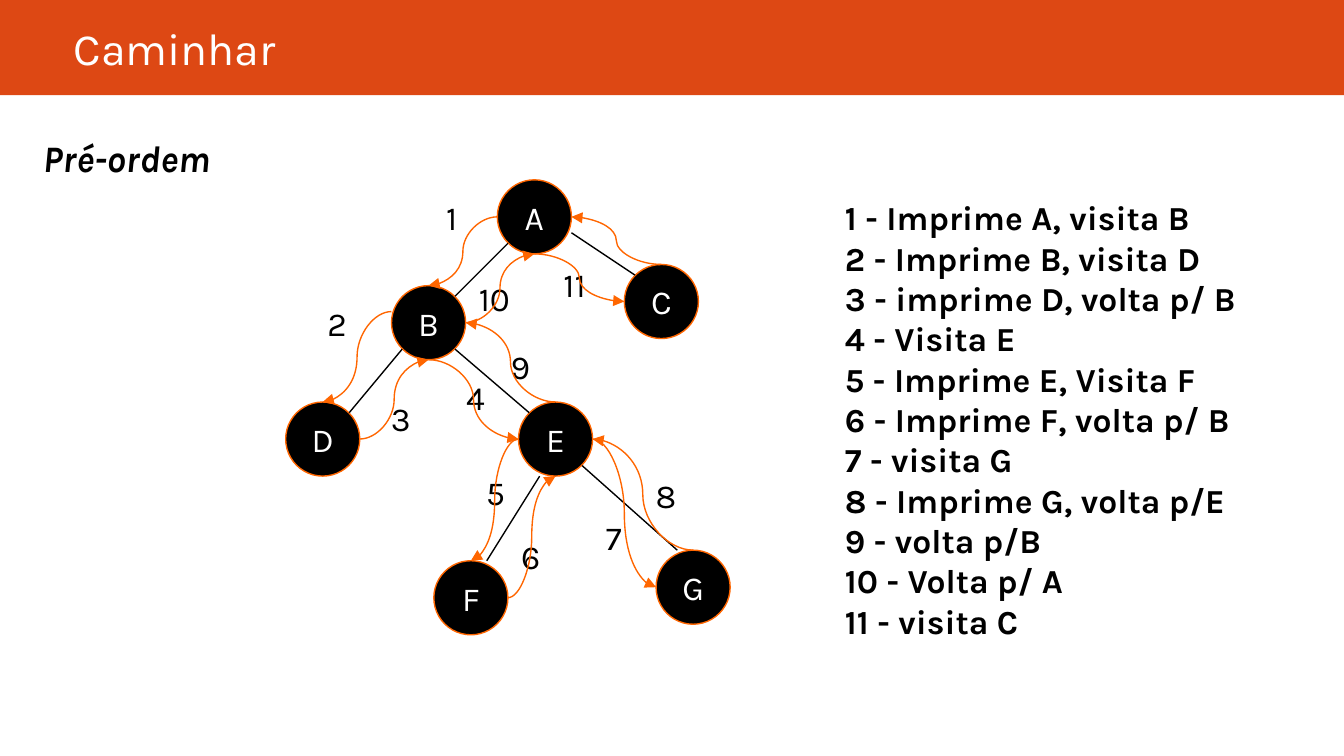
"""Build a slide that traces the pre-order walk of a binary tree."""
from lxml import etree
from pptx import Presentation
from pptx import util as u
from pptx.dml.color import RGBColor
from pptx.enum import shapes, text
from pptx.oxml.ns import qn

COLORS = {"bar": "DD4814", "walk": "FF6600", "ink": "000000", "paper": "FFFFFF"}
FONT = "Karla"
DIAMETER = 1.4
LABEL_HEIGHT = 0.97

TITLE = "Caminhar"
SUBTITLE = "Pré-ordem"
STEPS = [
    "1 - Imprime A, visita B",
    "2 - Imprime B, visita D",
    "3 - imprime D, volta p/ B",
    "4 - Visita E",
    "5 - Imprime E, Visita F",
    "6 - Imprime F, volta p/ B",
    "7 - visita G",
    "8 - Imprime G, volta p/E",
    "9 - volta p/B",
    "10 - Volta p/ A",
    "11 - visita C",
]
NODES = {
    "A": (9.4, 3.4),
    "B": (7.4, 5.4),
    "D": (5.4, 7.6),
    "C": (11.8, 5.0),
    "E": (9.8, 7.6),
    "F": (8.2, 10.6),
    "G": (12.4, 10.4),
}
EDGES = [
    (9.6, 4.6, 8.6, 5.6),
    (7.6, 6.6, 6.6, 7.8),
    (10.8, 4.4, 12.0, 5.2),
    (8.6, 6.6, 10.0, 7.8),
    (10.2, 9.0, 9.2, 10.6),
    (11.0, 8.8, 12.8, 10.4),
]
LABELS = [
    ("1", 8.18, 3.6, 1.04),
    ("2", 5.94, 5.6, 0.87),
    ("3", 7.14, 7.4, 0.87),
    ("4", 8.56, 7.0, 0.87),
    ("5", 8.94, 8.8, 0.87),
    ("6", 9.6, 10.0, 0.87),
    ("7", 11.2, 9.65, 0.87),
    ("8", 12.14, 8.85, 0.87),
    ("9", 9.4, 6.4, 0.87),
    ("10", 8.8, 5.13, 1.5),
    ("11", 10.4, 4.85, 1.85),
]
SIDES = {
    "top": (0.5, 0),
    "left": (0, 0.5),
    "upper left": (0, 0.35),
    "bottom": (0.5, 1),
    "right": (1, 0.5),
}
WALK = [
    ("A", "left", "B", "top"),
    ("B", "upper left", "D", "top"),
    ("D", "right", "B", "bottom"),
    ("B", "right", "A", "bottom"),
    ("B", "bottom", "E", "left"),
    ("E", "left", "F", "top"),
    ("F", "right", "E", "bottom"),
    ("E", "right", "G", "left"),
    ("G", "top", "E", "right"),
    ("E", "top", "B", "right"),
    ("A", "bottom", "C", "left"),
    ("C", "top", "A", "right"),
]


def color(name):
    return RGBColor.from_string(COLORS[name])


def write(box, lines, size, ink="ink", bold=False, italic=False, align=text.PP_ALIGN.LEFT,
          anchor=text.MSO_ANCHOR.TOP, margin=0.13, wrap=True):
    frame = box.text_frame
    frame.text = "\n".join(lines)
    frame.auto_size = text.MSO_AUTO_SIZE.NONE
    frame.word_wrap = wrap
    frame.vertical_anchor = anchor
    frame.margin_left = frame.margin_right = u.Cm(0.25)
    frame.margin_top = frame.margin_bottom = u.Cm(margin)
    for para in frame.paragraphs:
        para.alignment = align
        font = para.font
        font.name, font.size, font.bold, font.italic = FONT, u.Pt(size), bold, italic
        font.color.rgb = color(ink)


def add_text(page, place, lines, size, **style):
    box = page.shapes.add_textbox(*map(u.Cm, place))
    write(box, lines, size, **style)


def add_filled(page, kind, place, fill):
    shape = page.shapes.add_shape(kind, *map(u.Cm, place))
    shape.shadow.inherit = False
    shape.fill.solid()
    shape.fill.fore_color.rgb = color(fill)
    shape.line.fill.background()
    return shape


def add_line(page, kind, ends, ink):
    line = page.shapes.add_connector(kind, *map(u.Cm, ends))
    line.line.color.rgb = color(ink)
    line.line.width = u.Pt(0.75)
    etree.SubElement(line.element.spPr, qn("a:effectLst"))
    return line


def add_arrowhead(line):
    outline = line.element.spPr.find(qn("a:ln"))
    etree.SubElement(outline, qn("a:tailEnd"), type="triangle")


def side_point(node, side):
    return [start + DIAMETER * part for start, part in zip(NODES[node], SIDES[side])]


def add_header(page):
    bar = add_filled(page, shapes.MSO_SHAPE.RECTANGLE, (0, 0, 25.4, 1.8), "bar")
    title = page.shapes.title
    title.element.addprevious(bar.element)
    title.left, title.top, title.width, title.height = map(u.Cm, (1.14, 0, 23, 1.8))
    write(title, [TITLE], 24, ink="paper", anchor=text.MSO_ANCHOR.MIDDLE, margin=0.25)


def add_tree(page):
    for name, (left, top) in NODES.items():
        place = (left, top, DIAMETER, DIAMETER)
        node = add_filled(page, shapes.MSO_SHAPE.OVAL, place, "ink")
        node.line.color.rgb = color("walk")
        node.line.width = u.Pt(0.75)
        write(node, [name], 18, ink="paper", align=text.PP_ALIGN.CENTER,
              anchor=text.MSO_ANCHOR.MIDDLE, wrap=False)
    for ends in EDGES:
        add_line(page, shapes.MSO_CONNECTOR.STRAIGHT, ends, "ink")
    for label, left, top, width in LABELS:
        add_text(page, (left, top, width, LABEL_HEIGHT), [label], 18)
    for start, start_side, end, end_side in WALK:
        ends = side_point(start, start_side) + side_point(end, end_side)
        add_arrowhead(add_line(page, shapes.MSO_CONNECTOR.CURVE, ends, "walk"))


def main():
    deck = Presentation()
    deck.slide_width, deck.slide_height = u.Cm(25.4), u.Cm(14.29)
    page = deck.slides.add_slide(deck.slide_layouts[5])
    add_header(page)
    add_text(page, (0.56, 2.08, 7.62, 1.8), [SUBTITLE], 20, bold=True, italic=True,
             anchor=text.MSO_ANCHOR.MIDDLE, margin=0.25)
    add_text(page, (15.72, 3.6, 9.55, 8.08), STEPS, 18, bold=True)
    add_tree(page)
    deck.save("out.pptx")


if __name__ == "__main__":
    main()
